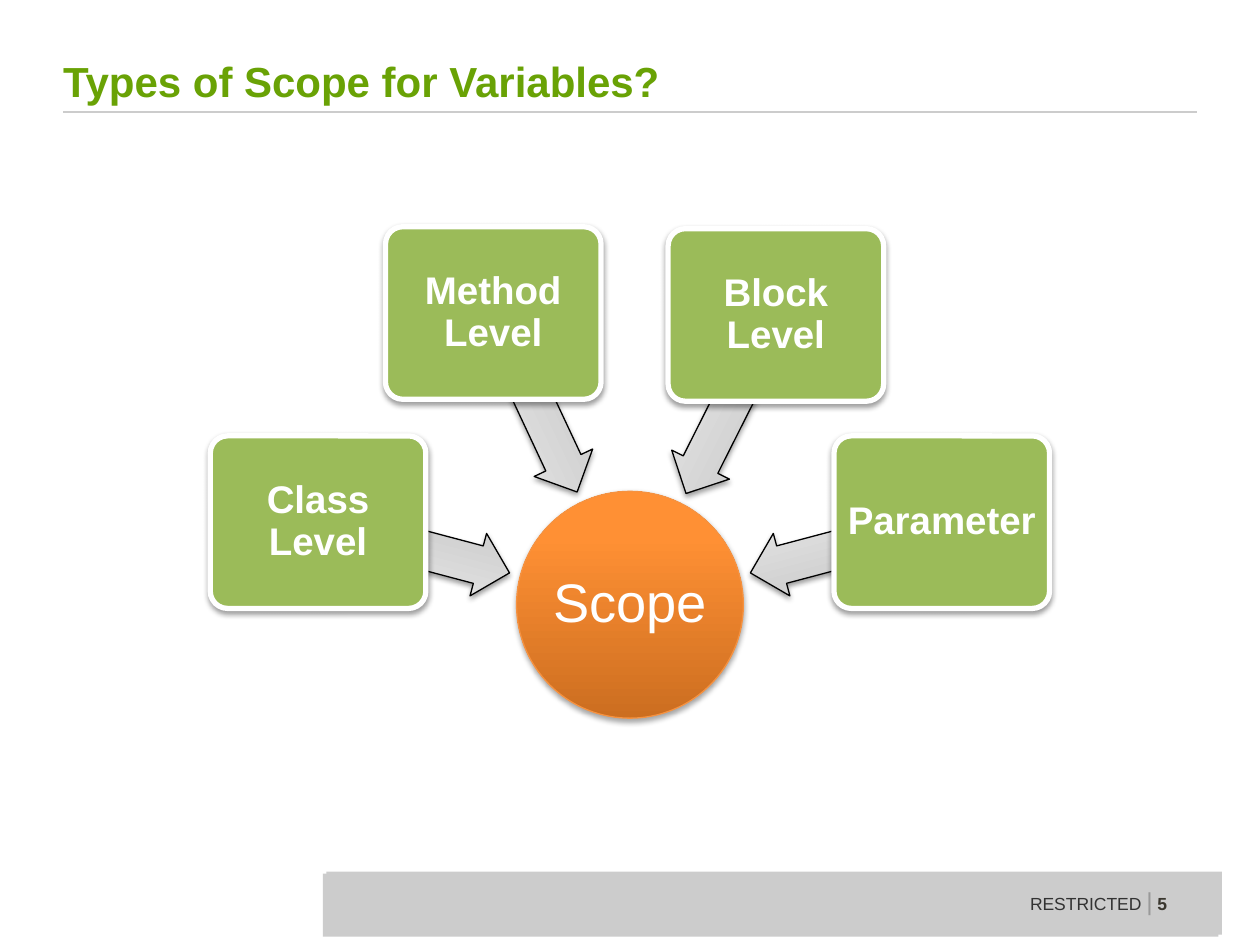
import math
from typing import NamedTuple

from lxml import etree
from pptx import Presentation
from pptx.dml.color import RGBColor
from pptx.enum import shapes, text
from pptx.oxml import ns
from pptx.util import Pt

HEX = {
    "title": "69A205", "gray": "CCCCCC", "mark": "999999", "label": "333333",
    "page": "3A372F", "card": "9BBB59", "white": "FFFFFF", "black": "000000",
    "rim": "F69240",
}
ORANGE = [(0, "CC6E20"), (80, "FF9034"), (100, "FF9136")]
SILVER = [(0, "BDBDBD"), (35, "D1D1D1"), (100, "EEEEEE")]
KIND = shapes.MSO_SHAPE
HUB = (360, 345.6)  # centre of the circle
HUB_SIZE = 129.6
REACH = 71.2  # arrow tip to hub centre
CARD_W, CARD_H = 123.2, 98.6


class Card(NamedTuple):
    name: str
    x: float
    y: float


class Bit(NamedTuple):
    words: str
    size: float
    color: str
    bold: bool = False


CARDS = [
    Card("Class Level", 120.2, 249.1),
    Card("Method Level", 220.3, 129.6),
    Card("Block Level", 381.8, 130.7),
    Card("Parameter", 476.6, 249.1),
]
FOOTER = [
    Bit("RESTRICTED ", 10, "label"),
    Bit("|", 14, "mark"),
    Bit(" 5", 10, "page", True),
]


def rgb(name: str) -> RGBColor:
    return RGBColor.from_string(HEX[name])


def write(para, bits: list[Bit]) -> None:
    for bit in bits:
        run = para.add_run()
        run.text = bit.words
        font = run.font
        font.name, font.size, font.bold = "Arial", Pt(bit.size), bit.bold
        font.color.rgb = rgb(bit.color)


def sub(parent, tag: str, **attrs):
    return etree.SubElement(parent, ns.qn(tag), attrs)


def pad(frame, *sides: float) -> None:
    """Set the left, top, right and bottom insets."""
    (frame.margin_left, frame.margin_top,
     frame.margin_right, frame.margin_bottom) = map(Pt, sides)


def shade(shape, stops: list[tuple[int, str]]) -> None:
    """Fill with a gradient that runs from bottom to top."""
    shape.fill.gradient()
    shape.fill.gradient_angle = 90
    group = shape._element.spPr.find(".//" + ns.qn("a:gsLst"))
    for old in list(group):
        group.remove(old)
    for place, color in stops:
        stop = sub(group, "a:gs", pos=str(place * 1000))
        sub(stop, "a:srgbClr", val=color)


def cast(shape, alpha: int) -> None:
    """Give a soft shadow below the shape."""
    shape.shadow.inherit = False
    effect = shape._element.spPr.find(ns.qn("a:effectLst"))
    drop = sub(effect, "a:outerShdw", blurRad=str(Pt(3.15)),
               dist=str(Pt(1.6)), dir="5400000", rotWithShape="0")
    color = sub(drop, "a:srgbClr", val=HEX["black"])
    sub(color, "a:alpha", val=str(alpha * 1000))


def add(slide, kind, x: float, y: float, w: float, h: float):
    return slide.shapes.add_shape(kind, Pt(x), Pt(y), Pt(w), Pt(h))


def edge(shape, color: str, width: float) -> None:
    shape.line.color.rgb = rgb(color)
    shape.line.width = Pt(width)


def label(shape, bit: Bit, wrap: bool, inset: float) -> None:
    frame = shape.text_frame
    frame.word_wrap = wrap
    frame.vertical_anchor = text.MSO_ANCHOR.MIDDLE
    pad(frame, *[inset] * 4)
    para = frame.paragraphs[0]
    para.alignment = text.PP_ALIGN.CENTER
    para.line_spacing = 0.9
    write(para, [bit])


def draw_hub(slide) -> None:
    half = HUB_SIZE / 2
    disc = add(slide, KIND.OVAL, HUB[0] - half, HUB[1] - half,
               HUB_SIZE, HUB_SIZE)
    shade(disc, ORANGE)
    edge(disc, "rim", 0.75)
    cast(disc, 35)
    label(disc, Bit("Scope", 31, "white"), False, 1.4)


def draw_arrow(slide, card: Card) -> None:
    """Point from the middle of the card towards the hub."""
    x, y = card.x + CARD_W / 2, card.y + CARD_H / 2
    dx, dy = HUB[0] - x, HUB[1] - y
    dist = math.hypot(dx, dy)
    size, high = dist - REACH, 36.9
    part = size / 2 / dist
    arrow = add(slide, KIND.LEFT_ARROW, x + dx * part - size / 2,
                y + dy * part - high / 2, size, high)
    arrow.adjustments[0], arrow.adjustments[1] = 0.6, 0.5
    arrow.rotation = math.degrees(math.atan2(dy, dx)) + 180
    shade(arrow, SILVER)
    edge(arrow, "black", 0.75)
    cast(arrow, 38)


def draw_card(slide, card: Card) -> None:
    box = add(slide, KIND.ROUNDED_RECTANGLE, card.x, card.y, CARD_W, CARD_H)
    box.adjustments[0] = 0.1
    box.fill.solid()
    box.fill.fore_color.rgb = rgb("card")
    edge(box, "white", 3)
    cast(box, 38)
    label(box, Bit(card.name, 22, "white", True), True, 1)


def draw_frame(slide) -> None:
    """Draw the title rule and the footer band."""
    rule = slide.shapes.add_connector(
        shapes.MSO_CONNECTOR.STRAIGHT, Pt(36), Pt(64), Pt(684), Pt(64))
    edge(rule, "gray", 1.5)
    sub(rule._element.spPr, "a:effectLst")
    for x, y in [(186.5, 498.1), (184.5, 499.2)]:
        band = add(slide, KIND.RECTANGLE, x, y, 511.7, 36)
        band.fill.solid()
        band.fill.fore_color.rgb = rgb("gray")
        band.line.fill.background()
        band.shadow.inherit = False
    note = slide.shapes.add_textbox(Pt(581.5), Pt(502.6), Pt(101), Pt(24.2))
    note.text_frame.word_wrap = False
    note.text_frame.auto_size = text.MSO_AUTO_SIZE.SHAPE_TO_FIT_TEXT
    write(note.text_frame.paragraphs[0], FOOTER)


def draw_title(slide) -> None:
    title = slide.shapes.title
    title.left, title.top, title.width, title.height = map(
        Pt, (36, 1.5, 648, 62.5))
    frame = title.text_frame
    frame.vertical_anchor = text.MSO_ANCHOR.BOTTOM
    frame.auto_size = text.MSO_AUTO_SIZE.NONE
    pad(frame, 0, 0, 0, 3.6)
    para = frame.paragraphs[0]
    para.alignment = text.PP_ALIGN.LEFT
    write(para, [Bit("Types of Scope for Variables?", 24, "title", True)])


def main() -> None:
    deck = Presentation()
    deck.slide_width, deck.slide_height = Pt(720), Pt(540)
    slide = deck.slides.add_slide(deck.slide_layouts[5])
    draw_frame(slide)
    draw_title(slide)
    draw_hub(slide)
    for card in CARDS:
        draw_arrow(slide, card)
        draw_card(slide, card)
    deck.save("out.pptx")


if __name__ == "__main__":
    main()
